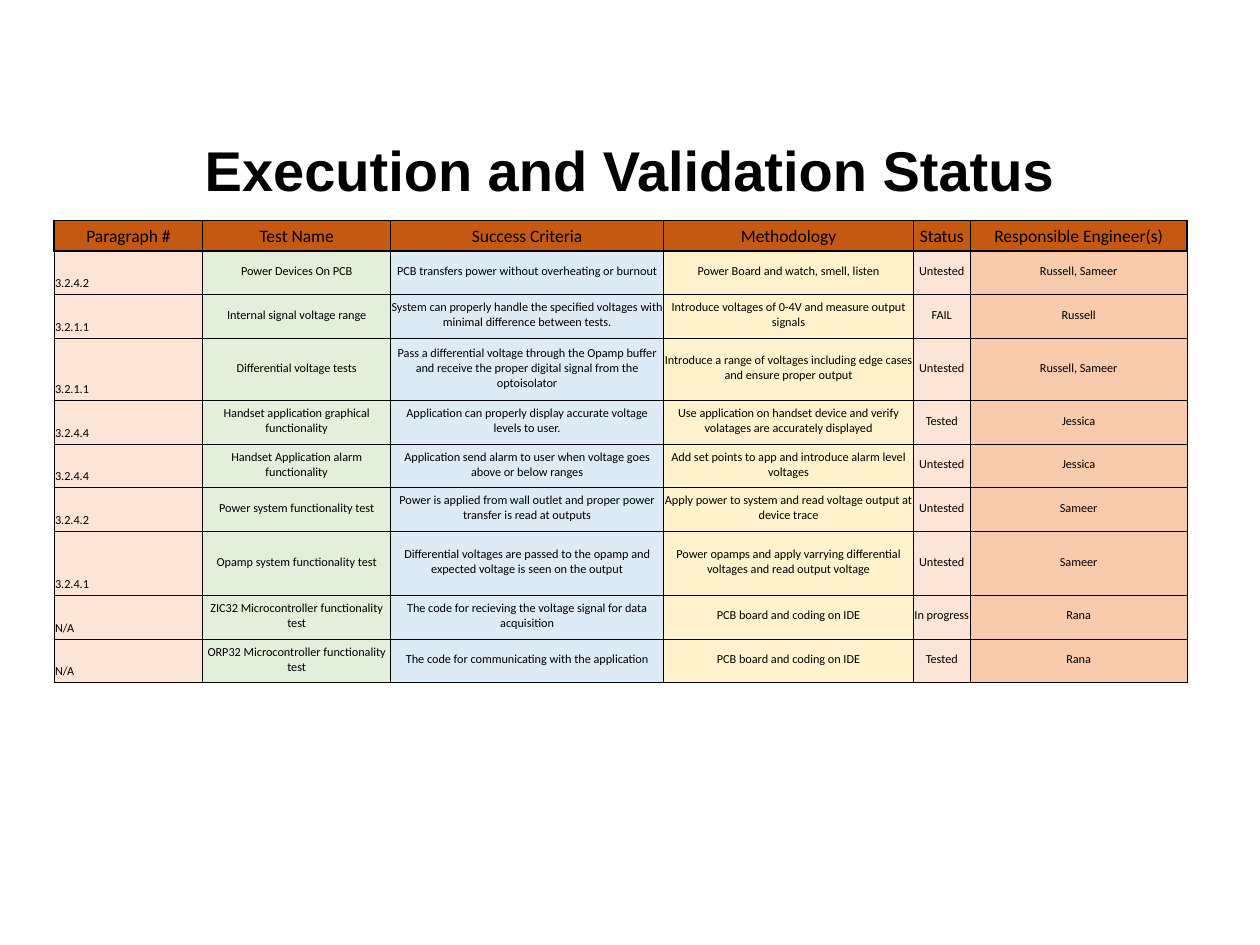
"""Build the Execution and Validation Status slide with its test table."""
from dataclasses import dataclass

from lxml.etree import SubElement
from pptx import Presentation
from pptx.dml.color import RGBColor
from pptx.enum.text import MSO_ANCHOR, PP_ALIGN
from pptx.oxml.ns import qn
from pptx.util import Cm, Pt

TITLE = "Execution and Validation Status"
HEADERS = ["Paragraph #", "Test Name", "Success Criteria", "Methodology", "Status",
           "Responsible Engineer(s)"]
TESTS = [
    ("3.2.4.2", "Power Devices On PCB", "PCB transfers power without overheating or burnout",
     "Power Board and watch, smell, listen", "Untested", "Russell, Sameer"),
    ("3.2.1.1", "Internal signal voltage range",
     "System can properly handle the specified voltages with minimal difference between tests.",
     "Introduce voltages of 0-4V and measure output signals", "FAIL", "Russell"),
    ("3.2.1.1", "Differential voltage tests",
     "Pass a differential voltage through the Opamp buffer and receive the proper digital "
     "signal from the optoisolator",
     "Introduce a range of voltages including edge cases and ensure proper output",
     "Untested", "Russell, Sameer"),
    ("3.2.4.4", "Handset application graphical functionality",
     "Application can properly display accurate voltage levels to user.",
     "Use application on handset device and verify volatages are accurately displayed",
     "Tested", "Jessica"),
    ("3.2.4.4", "Handset Application alarm functionality",
     "Application send alarm to user when voltage goes above or below ranges",
     "Add set points to app and introduce alarm level voltages", "Untested", "Jessica"),
    ("3.2.4.2", "Power system functionality test",
     "Power is applied from wall outlet and proper power transfer is read at outputs",
     "Apply power to system and read voltage output at device trace", "Untested", "Sameer"),
    ("3.2.4.1", "Opamp system functionality test",
     "Differential voltages are passed to the opamp and expected voltage is seen on the output",
     "Power opamps and apply varrying differential voltages and read output voltage",
     "Untested", "Sameer"),
    ("N/A", "ZIC32 Microcontroller functionality test",
     "The code for recieving the voltage signal for data acquisition",
     "PCB board and coding on IDE", "In progress", "Rana"),
    ("N/A", "ORP32 Microcontroller functionality test",
     "The code for communicating with the application",
     "PCB board and coding on IDE", "Tested", "Rana"),
]
COLUMN_WIDTHS = [3, 3.78, 5.51, 5.03, 1.15, 4.37]
HEADER_HEIGHT, ROW_HEIGHT = 0.62, 0.88
TALL_ROWS = {3: 1.25, 7: 1.29}


@dataclass(frozen=True)
class Theme:
    title_font: str = "Arial"
    table_font: str = "Calibri"
    title_size: float = 32
    header_size: float = 10
    body_size: float = 7
    text: str = "000000"
    header_fill: str = "C65911"
    column_fills: tuple = ("FCE4D6", "E2EFDA", "DDEBF7", "FFF2CC", "FCE4D6", "F8CBAD")
    header_line: float = 1
    body_line: float = 0.5


THEME = Theme()


def format_text(paragraph, font_name, size, alignment, bold=False):
    paragraph.alignment = alignment
    for run in paragraph.runs:
        run.font.name = font_name
        run.font.size = Pt(size)
        run.font.bold = bold
        run.font.color.rgb = RGBColor.from_string(THEME.text)


def add_borders(cell, widths):
    properties = cell._tc.get_or_add_tcPr()
    for side, width in widths.items():
        line = SubElement(properties, qn(f"a:ln{side}"), w=str(Pt(width)))
        fill = SubElement(line, qn("a:solidFill"))
        SubElement(fill, qn("a:srgbClr"), val=THEME.text)


def format_cell(cell, row_index, column_index):
    is_header = row_index == 0
    is_reference = column_index == 0 and not is_header
    widths = dict.fromkeys("LRTB", THEME.body_line)
    if is_header:
        widths.update(T=THEME.header_line, B=THEME.header_line)
        if column_index == 0:
            widths["L"] = THEME.header_line
        if column_index == len(HEADERS) - 1:
            widths["R"] = THEME.header_line
    elif row_index == 1:
        widths["T"] = THEME.header_line
    add_borders(cell, widths)
    color = THEME.header_fill if is_header else THEME.column_fills[column_index]
    cell.fill.solid()
    cell.fill.fore_color.rgb = RGBColor.from_string(color)
    cell.margin_left = cell.margin_right = cell.margin_top = Cm(0.02)
    cell.margin_bottom = Cm(0.07)
    at_bottom = is_header or is_reference
    cell.vertical_anchor = MSO_ANCHOR.BOTTOM if at_bottom else MSO_ANCHOR.MIDDLE
    format_text(cell.text_frame.paragraphs[0], THEME.table_font,
                THEME.header_size if is_header else THEME.body_size,
                PP_ALIGN.LEFT if is_reference else PP_ALIGN.CENTER)


def add_title(slide):
    title = slide.shapes.title
    title.left, title.top, title.width, title.height = Cm(1.27), Cm(2.29), Cm(22.86), Cm(2.24)
    title.text_frame.text = TITLE
    title.text_frame.vertical_anchor = MSO_ANCHOR.MIDDLE
    format_text(title.text_frame.paragraphs[0], THEME.title_font, THEME.title_size,
                PP_ALIGN.CENTER, bold=True)


def add_test_table(slide):
    rows = [HEADERS, *TESTS]
    heights = [HEADER_HEIGHT] + [TALL_ROWS.get(index, ROW_HEIGHT)
                                 for index in range(1, len(rows))]
    table = slide.shapes.add_table(len(rows), len(HEADERS), Cm(1.09), Cm(4.44),
                                   Cm(sum(COLUMN_WIDTHS)), Cm(sum(heights))).table
    table.horz_banding = False
    for column, width in zip(table.columns, COLUMN_WIDTHS):
        column.width = Cm(width)
    for row_index, (values, height) in enumerate(zip(rows, heights)):
        table.rows[row_index].height = Cm(height)
        for column_index, value in enumerate(values):
            cell = table.cell(row_index, column_index)
            cell.text_frame.text = value
            format_cell(cell, row_index, column_index)


def main():
    presentation = Presentation()
    presentation.slide_width, presentation.slide_height = Cm(25.4), Cm(19.05)
    slide = presentation.slides.add_slide(presentation.slide_layouts.get_by_name("Title Only"))
    add_title(slide)
    add_test_table(slide)
    presentation.save("out.pptx")


if __name__ == "__main__":
    main()
